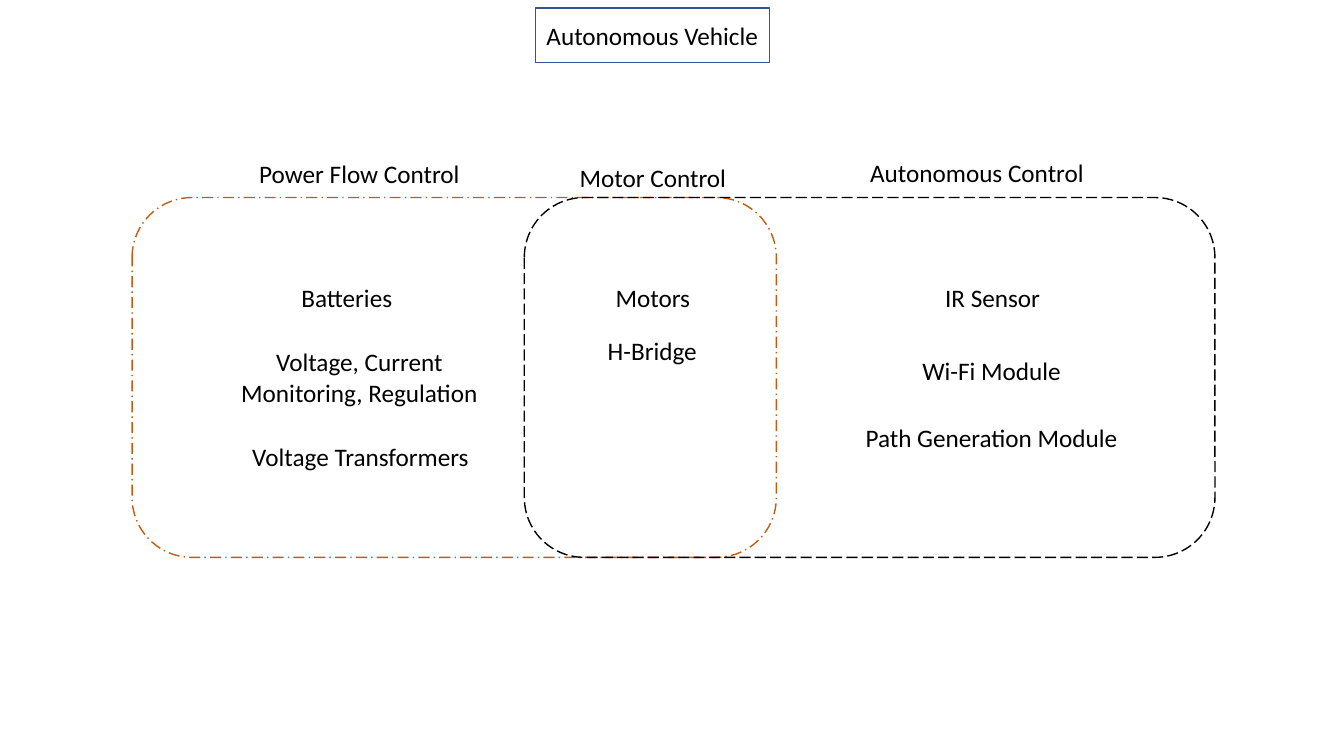
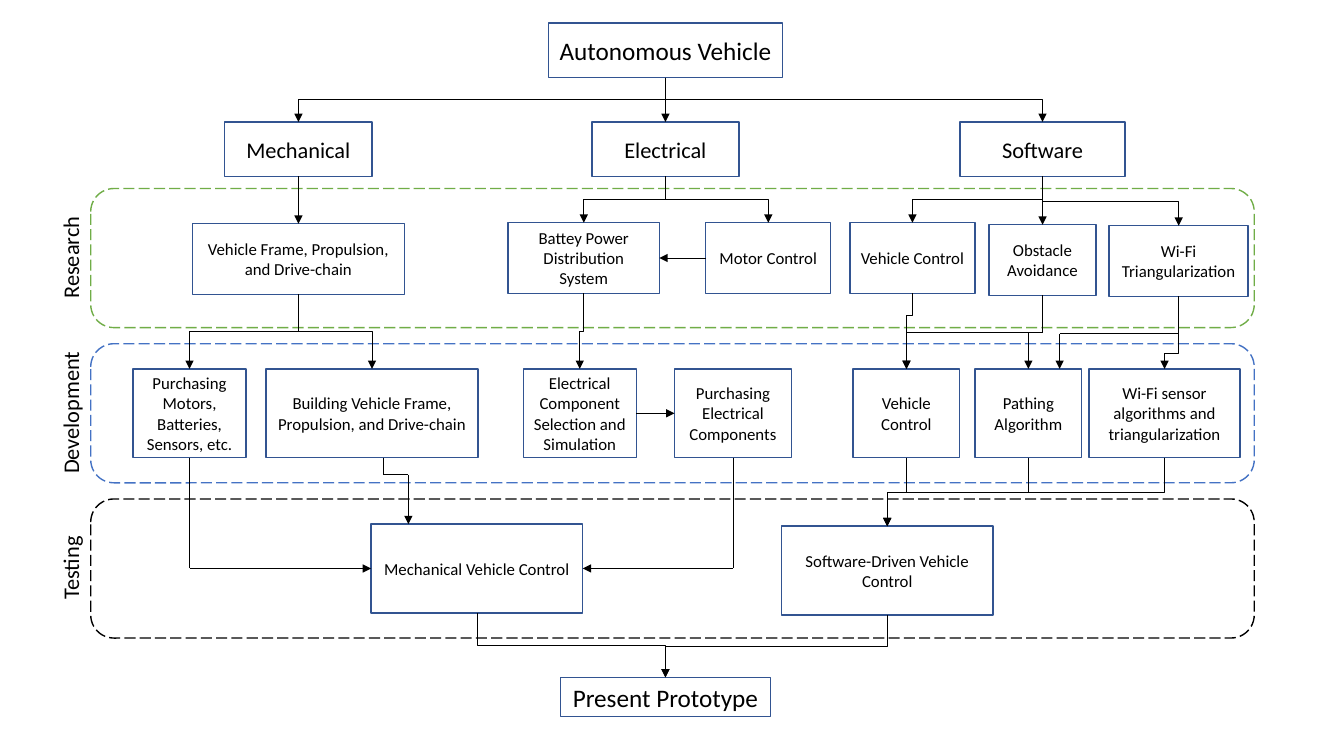
from lxml.etree import SubElement
from pptx import Presentation
from pptx.dml.color import RGBColor
from pptx.enum.dml import MSO_LINE
from pptx.enum.shapes import MSO_CONNECTOR, MSO_SHAPE
from pptx.enum.text import MSO_ANCHOR, PP_ALIGN
from pptx.oxml.ns import qn
from pptx.util import Inches, Pt

BLACK = RGBColor(0x00, 0x00, 0x00)
NAVY = RGBColor(0x32, 0x54, 0x91)
ORANGE = RGBColor(0xC5, 0x5A, 0x11)
GREEN = RGBColor(0x70, 0xAD, 0x47)
BLUE = RGBColor(0x44, 0x72, 0xC4)
FONT = "Calibri"
TOP, LEFT, BOTTOM, RIGHT = range(4)


def inches(*lengths):
    return [Inches(length) for length in lengths]


def write(shape, text, size=18, wrap=True, anchor=MSO_ANCHOR.MIDDLE):
    frame = shape.text_frame
    frame.word_wrap = wrap
    frame.vertical_anchor = anchor
    frame.text = text
    for paragraph in frame.paragraphs:
        paragraph.alignment = PP_ALIGN.CENTER
        paragraph.font.size = Pt(size)
        paragraph.font.name = FONT
        paragraph.font.color.rgb = BLACK


def outline(shape, color=NAVY, dash=None):
    shape.fill.background()
    shape.line.color.rgb = color
    shape.line.width = Pt(1)
    if dash:
        shape.line.dash_style = dash


def add_title(slide, left, top):
    title = slide.shapes.title
    title.left, title.top, title.width, title.height = inches(left, top, 2.32, 0.54)
    outline(title)
    write(title, "Autonomous Vehicle")
    return title


def add_node(slide, box, text, size):
    node = slide.shapes.add_shape(MSO_SHAPE.RECTANGLE, *inches(*box))
    node.shadow.inherit = False
    outline(node)
    write(node, text, size)
    return node


def add_frame(slide, box, color, dash):
    frame = slide.shapes.add_shape(MSO_SHAPE.ROUNDED_RECTANGLE, *inches(*box))
    frame.shadow.inherit = False
    outline(frame, color, dash)


def add_label(slide, box, text, size=18, rotation=0):
    label = slide.shapes.add_textbox(*inches(*box))
    label.rotation = rotation
    write(label, text, size, wrap=False, anchor=MSO_ANCHOR.TOP)


def style_connector(connector, arrow=True):
    connector.line.color.rgb = BLACK
    connector.line.width = Pt(0.5)
    properties = connector._element.spPr
    if arrow:
        SubElement(properties.find(qn("a:ln")), qn("a:tailEnd"), type="triangle")
    SubElement(properties, qn("a:effectLst"))


def add_straight(slide, source, source_side, target, target_side):
    link = slide.shapes.add_connector(MSO_CONNECTOR.STRAIGHT, 0, 0, 0, 0)
    link.begin_connect(source, source_side)
    link.end_connect(target, target_side)
    style_connector(link)


def add_elbow(slide, source, target, bend=0.5):
    start_x = source.left + source.width // 2
    start_y = source.top + source.height
    end_x = target.left + target.width // 2
    drop, shift = target.top - start_y, abs(end_x - start_x)
    link = slide.shapes.add_connector(MSO_CONNECTOR.ELBOW, 0, 0, drop, shift)
    link.begin_connect(source, BOTTOM)
    link.end_connect(target, TOP)
    link.left = (start_x + end_x - drop) // 2
    link.top = (start_y + target.top - shift) // 2
    link.width, link.height = drop, shift
    properties = link._element.spPr
    transform = properties.find(qn("a:xfrm"))
    rightward = end_x > start_x
    transform.set("rot", str((270 if rightward else 90) * 60000))
    transform.set("flipH", "1" if rightward else "0")
    transform.set("flipV", "0")
    if bend != 0.5:
        adjustments = properties.find(qn("a:prstGeom")).find(qn("a:avLst"))
        SubElement(adjustments, qn("a:gd"), name="adj1", fmla=f"val {round(bend * 100000)}")
    style_connector(link)


def add_route(slide, points, source=None, target=None):
    last = len(points) - 2
    for index, (start, end) in enumerate(zip(points, points[1:])):
        leg = slide.shapes.add_connector(MSO_CONNECTOR.STRAIGHT, *inches(*start, *end))
        if source and index == 0:
            leg.begin_connect(*source)
        if target and index == last:
            leg.end_connect(*target)
        style_connector(leg, arrow=index == last)


def draw_system(slide, box, entries, color=None, dash=None):
    left, top = box[:2]
    if color is not None:
        add_frame(slide, box, color, dash)
    for text, dx, dy, width in entries:
        height = 0.71 if "\n" in text else 0.4
        add_label(slide, (left + dx, top + dy, width, height), text)


def draw_phase(slide, box, color, name, name_width, step_height, steps):
    left, top, _, height = box
    add_frame(slide, box, color, MSO_LINE.LONG_DASH)
    name_box = (left - 0.2 - name_width / 2, top + height / 2 - 0.19, name_width, 0.37)
    add_label(slide, name_box, name, size=16, rotation=270)
    return {
        key: add_node(slide, (left + dx, top + dy, width, step_height), text, 12)
        for key, text, dx, dy, width in steps
    }


def draw_disciplines(slide, top):
    disciplines = [("Mechanical", 2.23, 1.46), ("Electrical", 5.87, 1.46), ("Software", 9.52, 1.64)]
    return {
        name.lower(): add_node(slide, (left, top, width, 0.54), name, 16)
        for name, left, width in disciplines
    }


def build_overview(slide):
    add_title(slide, 5.31, 0.08)
    top, height = 1.96, 3.57
    draw_system(slide, (1.31, top, 6.39, height), [
        ("Power Flow Control", 1.15, -0.44, 2.21),
        ("Batteries", 1.57, 0.79, 1.12),
        ("Voltage, Current\nMonitoring, Regulation", 0.97, 1.43, 2.57),
        ("Voltage Transformers", 1.09, 2.37, 2.35),
    ], ORANGE, MSO_LINE.LONG_DASH_DOT)
    draw_system(slide, (5.2, top, 6.85, height), [
        ("Autonomous Control", 3.32, -0.45, 2.34),
        ("IR Sensor", 4.07, 0.79, 1.15),
        ("Wi-Fi Module", 3.84, 1.52, 1.59),
        ("Path Generation Module", 3.27, 2.18, 2.73),
    ], BLACK, MSO_LINE.LONG_DASH)
    draw_system(slide, (5.2, top, 2.5, height), [
        ("Motor Control", 0.44, -0.4, 1.67),
        ("Motors", 0.8, 0.79, 0.95),
        ("H-Bridge", 0.72, 1.32, 1.1),
    ])


def build_plan(slide):
    title = add_title(slide, 5.44, 0.23)
    nodes = draw_disciplines(slide, 1.21)
    phases = [
        (GREEN, "Research", 1.03, 0.7, [
            ("frame", "Vehicle Frame, Propulsion, and Drive-chain", 1.01, 0.35, 2.1),
            ("battery", "Battey Power Distribution System", 4.14, 0.34, 1.5),
            ("motor", "Motor Control", 6.1, 0.34, 1.24),
            ("vehicle", "Vehicle Control", 7.53, 0.34, 1.24),
            ("obstacle", "Obstacle Avoidance", 8.91, 0.36, 1.06),
            ("wifi", "Wi-Fi Triangularization", 10.1, 0.37, 1.38),
        ]),
        (BLUE, "Development", 1.43, 0.88, [
            ("parts", "Purchasing Motors, Batteries, Sensors, etc.", 0.42, 0.25, 1.12),
            ("building", "Building Vehicle Frame, Propulsion, and Drive-chain", 1.74, 0.25, 2.1),
            ("selection", "Electrical Component Selection and Simulation", 4.29, 0.25, 1.12),
            ("components", "Purchasing Electrical Components", 5.79, 0.25, 1.16),
            ("control", "Vehicle Control", 7.56, 0.25, 1.06),
            ("pathing", "Pathing Algorithm", 8.77, 0.25, 1.06),
            ("sensor", "Wi-Fi sensor algorithms and triangularization", 9.9, 0.25, 1.5),
        ]),
        (BLACK, "Testing", 0.84, 0.88, [
            ("mechanical test", "Mechanical Vehicle Control", 2.78, 0.25, 2.1),
            ("software test", "Software-Driven Vehicle Control", 6.85, 0.27, 2.1),
        ]),
    ]
    for index, (color, name, name_width, step_height, steps) in enumerate(phases):
        band = (0.9, 1.87 + 1.54 * index, 11.54, 1.38)
        nodes |= draw_phase(slide, band, color, name, name_width, step_height, steps)
    nodes["title"] = title
    nodes["prototype"] = add_node(slide, (5.56, 6.72, 2.08, 0.39), "Present Prototype", 18)
    link_plan(slide, nodes)


def link_plan(slide, nodes):
    straight = [
        ("title", BOTTOM, "electrical", TOP),
        ("mechanical", BOTTOM, "frame", TOP),
        ("software", BOTTOM, "obstacle", TOP),
        ("motor", LEFT, "battery", RIGHT),
        ("selection", RIGHT, "components", LEFT),
    ]
    for source, source_side, target, target_side in straight:
        add_straight(slide, nodes[source], source_side, nodes[target], target_side)

    elbows = [
        ("title", "mechanical"), ("title", "software"),
        ("electrical", "battery"), ("electrical", "motor"),
        ("software", "vehicle"), ("software", "wifi"),
        ("frame", "parts"), ("frame", "building"),
        ("battery", "selection"), ("vehicle", "control", 0.29),
        ("obstacle", "control"), ("obstacle", "pathing"),
        ("wifi", "sensor", 0.79),
        ("control", "software test"), ("pathing", "software test"),
        ("sensor", "software test"),
        ("mechanical test", "prototype"), ("software test", "prototype"),
    ]
    for source, target, *bend in elbows:
        add_elbow(slide, nodes[source], nodes[target], *bend)

    test = nodes["mechanical test"]
    add_route(slide, [(11.69, 3.31), (10.51, 3.31), (10.51, 3.66)])
    add_route(slide, [(3.8, 4.54), (3.8, 4.71), (4.05, 4.71), (4.05, 5.2)])
    add_route(slide, [(1.88, 4.54), (1.88, 5.64), (3.68, 5.64)],
              (nodes["parts"], BOTTOM), (test, LEFT))
    add_route(slide, [(7.27, 4.54), (7.27, 5.64), (5.78, 5.64)],
              (nodes["components"], BOTTOM), (test, RIGHT))


def main():
    deck = Presentation()
    deck.slide_width, deck.slide_height = inches(13.33, 7.5)
    for build in (build_overview, build_plan):
        build(deck.slides.add_slide(deck.slide_layouts[5]))
    deck.save("out.pptx")


if __name__ == "__main__":
    main()
